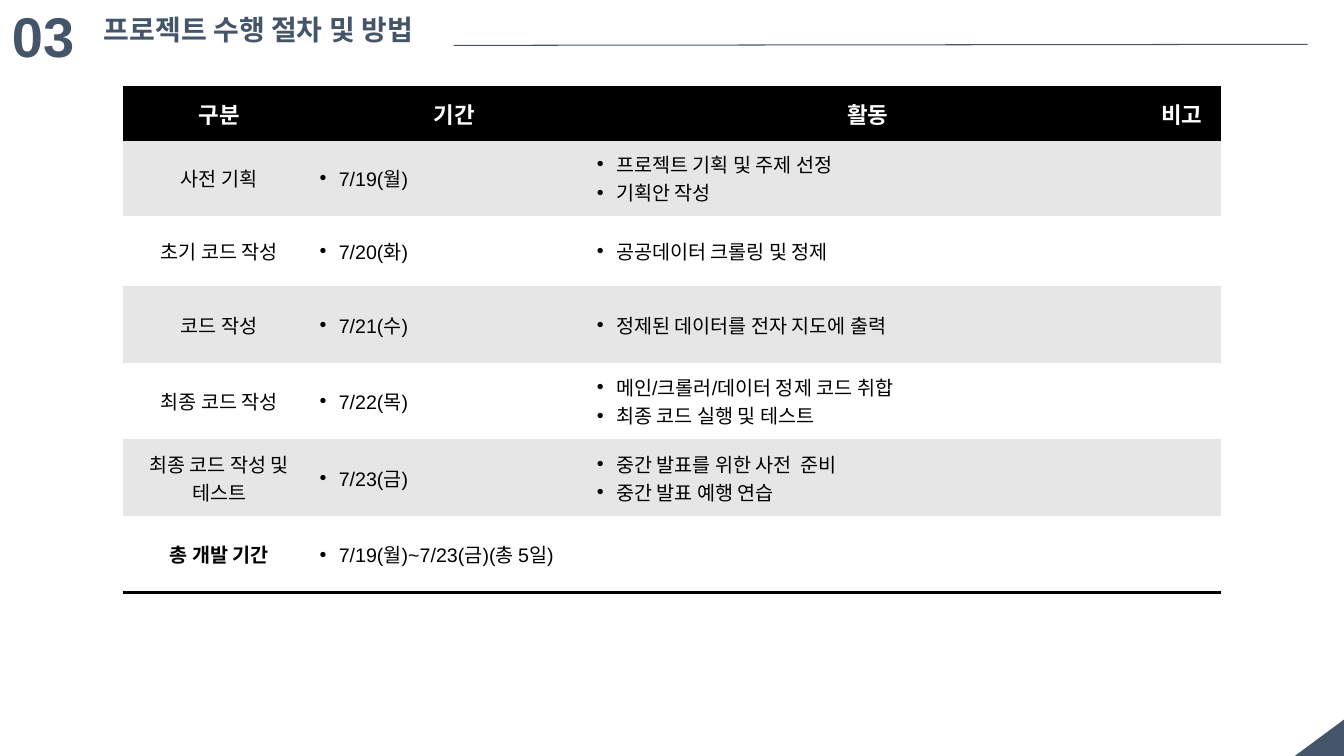
from dataclasses import dataclass

from lxml.etree import SubElement
from pptx import Presentation
from pptx.dml.color import RGBColor
from pptx.enum.shapes import MSO_CONNECTOR, MSO_SHAPE
from pptx.enum.text import MSO_ANCHOR, PP_ALIGN
from pptx.oxml import parse_xml
from pptx.oxml.ns import nsdecls, qn
from pptx.util import Inches, Pt


@dataclass(frozen=True)
class Theme:
    slate: str = "445569"
    black: str = "000000"
    white: str = "FFFFFF"
    band: str = "E6E6E6"
    number: int = 40
    title: int = 20
    header: int = 16
    body: int = 14
    font: str = "Arial"
    title_font: str = "Calibri"


@dataclass(frozen=True)
class Stage:
    name: str
    period: str
    activities: tuple[str, ...] = ()
    height: float = 0.76
    bold: bool = False


@dataclass(frozen=True)
class Heading:
    text: str
    left: float
    top: float
    width: float
    height: float
    size: int
    font: str


T = Theme()
NO_GRID_STYLE = "{2D5ABB26-0587-4C30-8999-92F81FD0307C}"
TABLE_LEFT, TABLE_TOP = 1.22, 0.87
HEADER_HEIGHT = 0.52
COLUMNS = {"구분": 1.91, "기간": 2.75, "활동": 5.45, "비고": 0.78}
STAGES = [
    Stage("사전 기획", "7/19(월)", ("프로젝트 기획 및 주제 선정", "기획안 작성"), 0.75),
    Stage("초기 코드 작성", "7/20(화)", ("공공데이터 크롤링 및 정제",), 0.7),
    Stage("코드 작성", "7/21(수)", ("정제된 데이터를 전자 지도에 출력",)),
    Stage("최종 코드 작성", "7/22(목)",
          ("메인/크롤러/데이터 정제 코드 취합", "최종 코드 실행 및 테스트")),
    Stage("최종 코드 작성 및 테스트", "7/23(금)",
          ("중간 발표를 위한 사전  준비", "중간 발표 예행 연습")),
    Stage("총 개발 기간", "7/19(월)~7/23(금)(총 5일)", bold=True),
]
HEADINGS = [
    Heading("03", 0.02, -0.03, 1.27, 0.77, T.number, T.font),
    Heading("프로젝트 수행 절차 및 방법", 0.93, 0.08, 3.68, 0.44, T.title, T.title_font),
]


def write(tf, *lines: str, size: int = T.body, color: str = T.black, font: str = T.font,
          bold: bool = False, align=PP_ALIGN.LEFT, bullet: bool = False) -> None:
    """Write each line as one paragraph."""
    tf.word_wrap = True
    for i, line in enumerate(lines):
        p = tf.paragraphs[0] if i == 0 else tf.add_paragraph()
        p.alignment = align
        if bullet:
            pPr = p._p.get_or_add_pPr()
            pPr.set("marL", str(Inches(0.19)))
            pPr.set("indent", str(-Inches(0.19)))
            SubElement(pPr, qn("a:buFont")).set("typeface", T.font)
            SubElement(pPr, qn("a:buChar")).set("char", "•")
        r = p.add_run()
        r.text = line
        r.font.size, r.font.name, r.font.bold = Pt(size), font, bold
        r.font.color.rgb = RGBColor.from_string(color)


def fill_cell(cell, color: str) -> None:
    cell.fill.solid()
    cell.fill.fore_color.rgb = RGBColor.from_string(color)
    cell.vertical_anchor = MSO_ANCHOR.MIDDLE


def add_border(cell, side: str) -> None:
    """Rule one side of a cell: T or B."""
    cell._tc.get_or_add_tcPr().insert(0, parse_xml(
        f'<a:ln{side} {nsdecls("a")} w="{Pt(2)}"><a:solidFill>'
        f'<a:srgbClr val="{T.black}"/></a:solidFill></a:ln{side}>'))


def write_bullets(cell, *lines: str) -> None:
    cell.margin_left = Inches(0.04)
    cell.margin_top = cell.margin_right = cell.margin_bottom = 0
    write(cell.text_frame, *lines, bullet=True)


def add_heading(slide, h: Heading) -> None:
    sp = slide.shapes.add_textbox(Inches(h.left), Inches(h.top),
                                  Inches(h.width), Inches(h.height))
    write(sp.text_frame, h.text, size=h.size, font=h.font, color=T.slate, bold=True)


def add_title_rule(slide) -> None:
    line = slide.shapes.add_connector(MSO_CONNECTOR.STRAIGHT, Inches(4.5), Inches(0.45),
                                      Inches(12.97), Inches(0.44))
    line.line.color.rgb = RGBColor.from_string(T.slate)
    line.line.width = Pt(0.75)
    SubElement(line._element.spPr, qn("a:effectLst"))


def add_corner(slide) -> None:
    sp = slide.shapes.add_shape(MSO_SHAPE.RIGHT_TRIANGLE, Inches(12.9), Inches(7.07),
                                Inches(0.37), Inches(0.5))
    sp.rotation = 270
    sp.shadow.inherit = False
    sp.fill.solid()
    sp.fill.fore_color.rgb = RGBColor.from_string(T.slate)
    sp.line.fill.background()


def add_schedule(slide) -> None:
    heights = [HEADER_HEIGHT, *(s.height for s in STAGES)]
    frame = slide.shapes.add_table(len(heights), len(COLUMNS), Inches(TABLE_LEFT),
                                   Inches(TABLE_TOP), Inches(sum(COLUMNS.values())),
                                   Inches(sum(heights)))
    table = frame.table
    table._tbl.tblPr.find(qn("a:tableStyleId")).text = NO_GRID_STYLE
    table.first_row = table.horz_banding = False
    for row, height in zip(table.rows, heights):
        row.height = Inches(height)

    # Header row
    for i, (label, width) in enumerate(COLUMNS.items()):
        table.columns[i].width = Inches(width)
        cell = table.cell(0, i)
        fill_cell(cell, T.black)
        add_border(cell, "B")
        add_border(cell, "T")
        write(cell.text_frame, label, size=T.header, color=T.white, bold=True,
              align=PP_ALIGN.CENTER)

    # Stage rows
    for n, stage in enumerate(STAGES, start=1):
        cells = [table.cell(n, i) for i in range(len(COLUMNS))]
        for cell in cells:
            fill_cell(cell, T.band if n % 2 else T.white)
            if n == len(STAGES):
                add_border(cell, "B")
        write(cells[0].text_frame, stage.name, bold=stage.bold, align=PP_ALIGN.CENTER)
        write_bullets(cells[1], stage.period)
        write_bullets(cells[2], *stage.activities)


def main() -> None:
    prs = Presentation()
    prs.slide_width, prs.slide_height = Inches(13.33), Inches(7.5)
    slide = prs.slides.add_slide(prs.slide_layouts[6])
    add_corner(slide)
    for heading in HEADINGS:
        add_heading(slide, heading)
    add_title_rule(slide)
    add_schedule(slide)
    prs.save("out.pptx")


if __name__ == "__main__":
    main()
